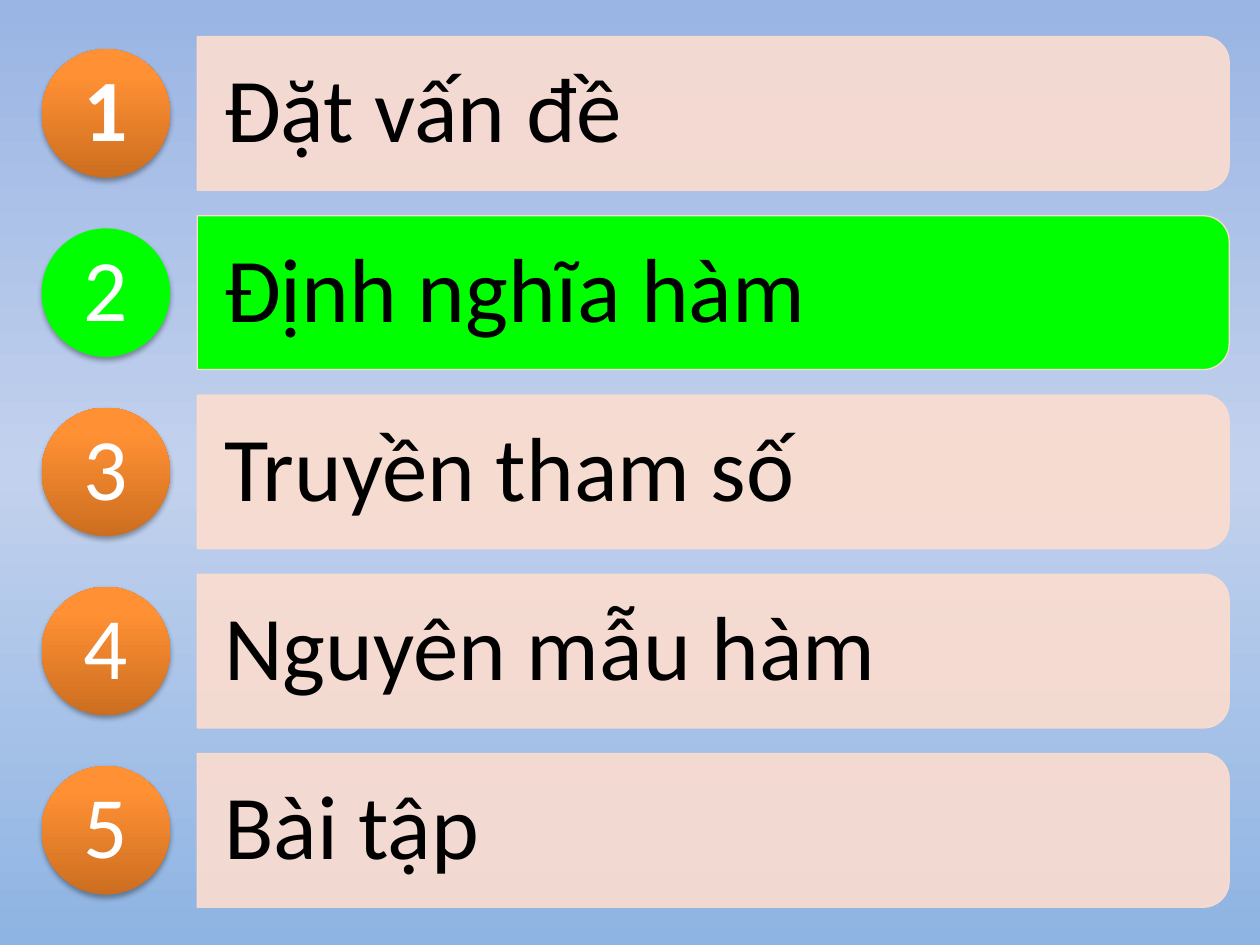
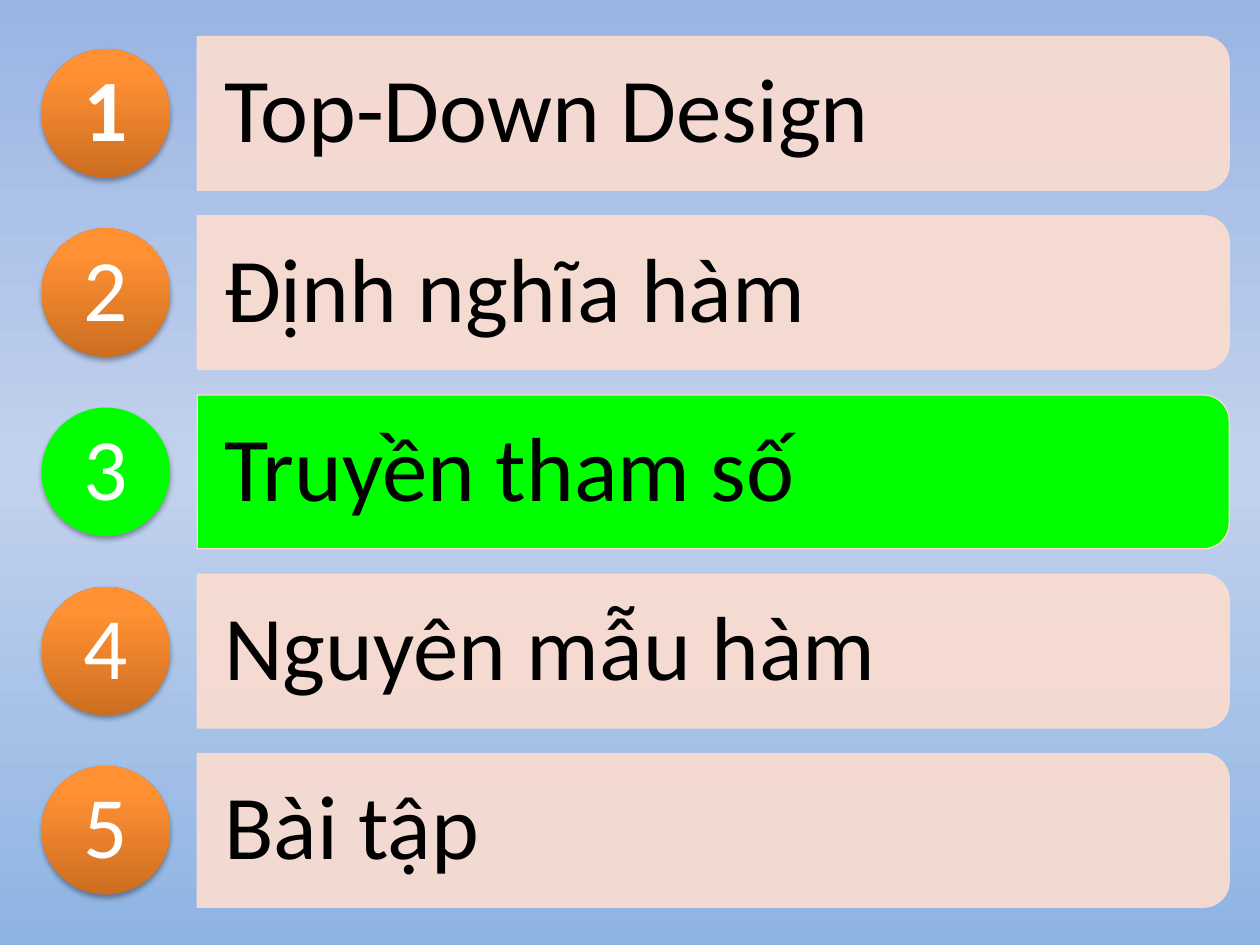
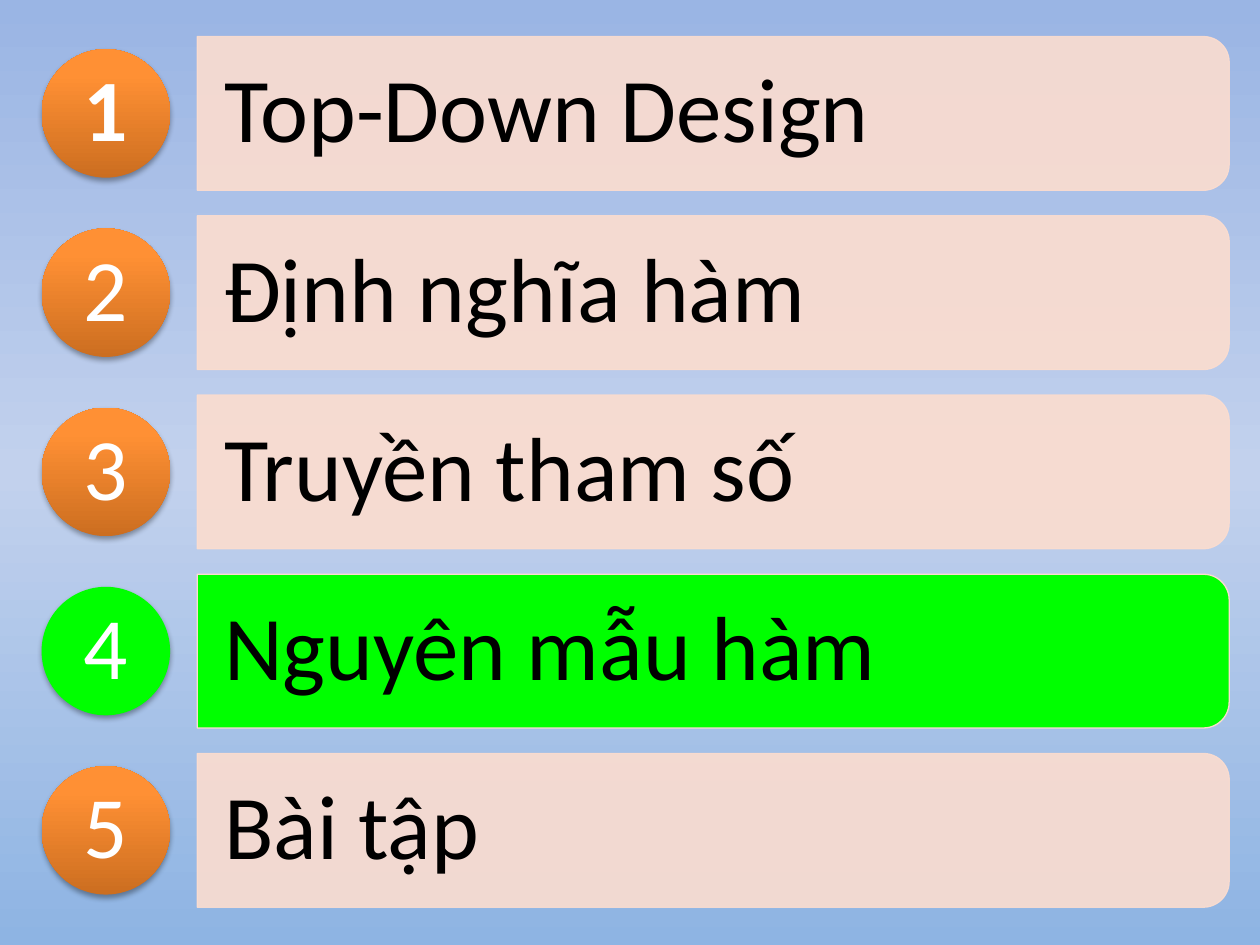
"""Build three agenda slides, each with one lit row."""
from lxml.etree import SubElement as Sub
from pptx import Presentation
from pptx.dml.color import RGBColor as RGB
from pptx.enum.shapes import MSO_SHAPE as Kind
from pptx.enum.text import MSO_ANCHOR as Anchor, PP_ALIGN as Align
from pptx.oxml.ns import qn
from pptx.util import Inches, Pt

BLACK = RGB(0x00, 0x00, 0x00)
WHITE = RGB(0xFF, 0xFF, 0xFF)
GREEN = RGB(0x00, 0xFF, 0x00)
PEACH = RGB(0xFC, 0xDD, 0xCF)
SKY = [(0, RGB(0x9A, 0xB5, 0xE4)), (50, RGB(0xC2, 0xD1, 0xED)),
       (100, RGB(0x8E, 0xB4, 0xE3))]
AMBER = [(0, RGB(0xCC, 0x6E, 0x20)), (80, RGB(0xFF, 0x90, 0x34)),
         (100, RGB(0xFF, 0x91, 0x36))]
FONT = "Calibri"
FIRST, LAST = 0.9, 6.59
TAIL = ["Định nghĩa hàm", "Truyền tham số", "Nguyên mẫu hàm", "Bài tập"]
DECKS = [("Đặt vấn đề", 2), ("Top-Down Design", 3), ("Top-Down Design", 4)]


class Agenda:
    """Hold the style and the current slide."""

    def __init__(self):
        """Open an empty deck."""
        self.deck = Presentation()
        self.deck.slide_width = Inches(10)
        self.deck.slide_height = Inches(7.5)

    def page(self):
        """Start a slide on the sky gradient."""
        self.slide = self.deck.slides.add_slide(self.deck.slide_layouts[6])
        self.blend(self.slide.background.fill, self.slide._element, SKY, 270)

    def blend(self, fill, node, stops, angle):
        """Give a fill a linear gradient."""
        fill.gradient()
        fill.gradient_angle = angle
        items = node.find(".//" + qn("a:gsLst"))
        for old in list(items):
            items.remove(old)
        for place, color in stops:
            stop = Sub(items, qn("a:gs"), pos=str(place * 1000))
            Sub(stop, qn("a:srgbClr"), val=str(color))

    def shape(self, kind, x, y, wide, high):
        """Add a flat shape centred on a point."""
        shape = self.slide.shapes.add_shape(
            kind, Inches(x - wide / 2), Inches(y - high / 2),
            Inches(wide), Inches(high))
        shape.shadow.inherit = False
        return shape

    def bar(self, y, lit):
        """Add the turned bar of a row."""
        bar = self.shape(Kind.ROUND_2_SAME_RECTANGLE, 5.66, y, 1.22, 8.19)
        bar.rotation = 90
        bar.fill.solid()
        bar.fill.fore_color.rgb = GREEN if lit else PEACH
        bar.line.color.rgb = PEACH
        bar.line.width = Pt(0.75)
        if not lit:
            for color in bar._element.spPr.iter(qn("a:srgbClr")):
                Sub(color, qn("a:alpha"), val="90000")

    def disc(self, y, lit):
        """Add the shaded disc of a row."""
        disc = self.shape(Kind.OVAL, 0.84, y, 1.02, 1.02)
        disc.line.fill.background()
        if lit:
            disc.fill.solid()
            disc.fill.fore_color.rgb = GREEN
        else:
            self.blend(disc.fill, disc._element, AMBER, 90)
        glow = Sub(disc._element.spPr.find(qn("a:effectLst")),
                   qn("a:outerShdw"), blurRad=str(Pt(3.15)),
                   dist=str(Pt(1.8)), dir="5400000", rotWithShape="0")
        color = Sub(glow, qn("a:srgbClr"), val=str(BLACK))
        Sub(color, qn("a:alpha"), val="35000")

    def text(self, words, box, pad, size, color, align, bold=False):
        """Add one line of text, centred on its height."""
        x, y, wide, high = box
        frame = self.slide.shapes.add_textbox(
            Inches(x), Inches(y - high / 2),
            Inches(wide), Inches(high)).text_frame
        frame.word_wrap = True
        frame.vertical_anchor = Anchor.MIDDLE
        frame.margin_left = frame.margin_right = Inches(pad[0])
        frame.margin_top = frame.margin_bottom = Inches(pad[1])
        para = frame.paragraphs[0]
        para.alignment = align
        para.line_spacing = 0.9
        after = Sub(para._p.get_or_add_pPr(), qn("a:spcAft"))
        Sub(after, qn("a:spcPct"), val="35000")
        run = para.add_run()
        run.text = words
        run.font.name = FONT
        run.font.size = Pt(size)
        run.font.bold = bold
        run.font.color.rgb = color

    def row(self, num, words, y, lit):
        """Add one numbered row."""
        self.bar(y, lit)
        self.text(words, (1.56, y, 8.13, 1.1), (0.22, 0.14), 52, BLACK,
                  Align.LEFT)
        self.disc(y, lit)
        self.text(str(num), (0.48, y, 0.72, 0.72), (0, 0), 50, WHITE,
                  Align.CENTER, num == 1)


def main():
    """Draw the slides and save the deck."""
    show = Agenda()
    for head, mark in DECKS:
        show.page()
        topics = [head] + TAIL
        step = (LAST - FIRST) / (len(topics) - 1)
        for num, words in enumerate(topics, 1):
            show.row(num, words, FIRST + (num - 1) * step, num == mark)
    show.deck.save("out.pptx")


main()
